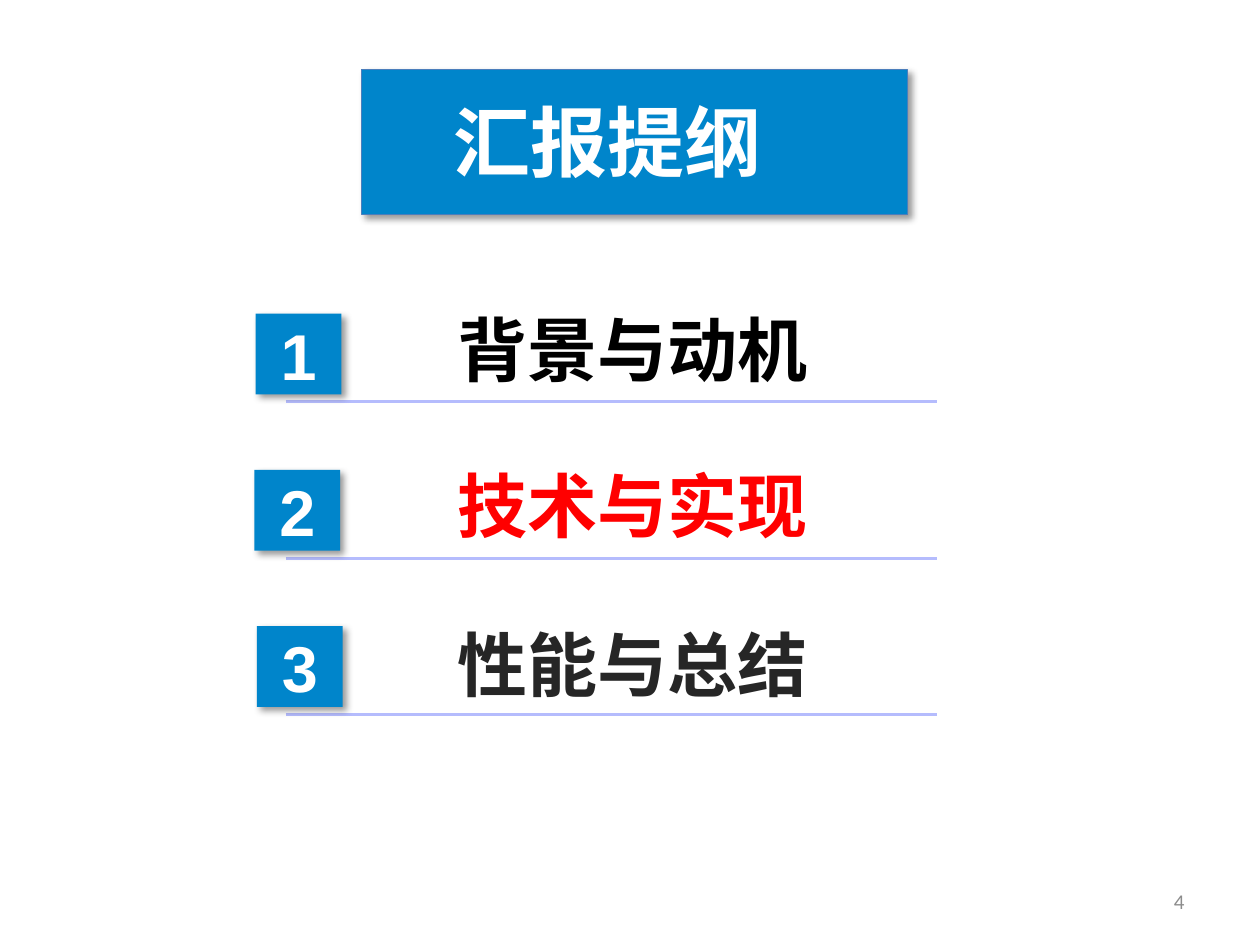
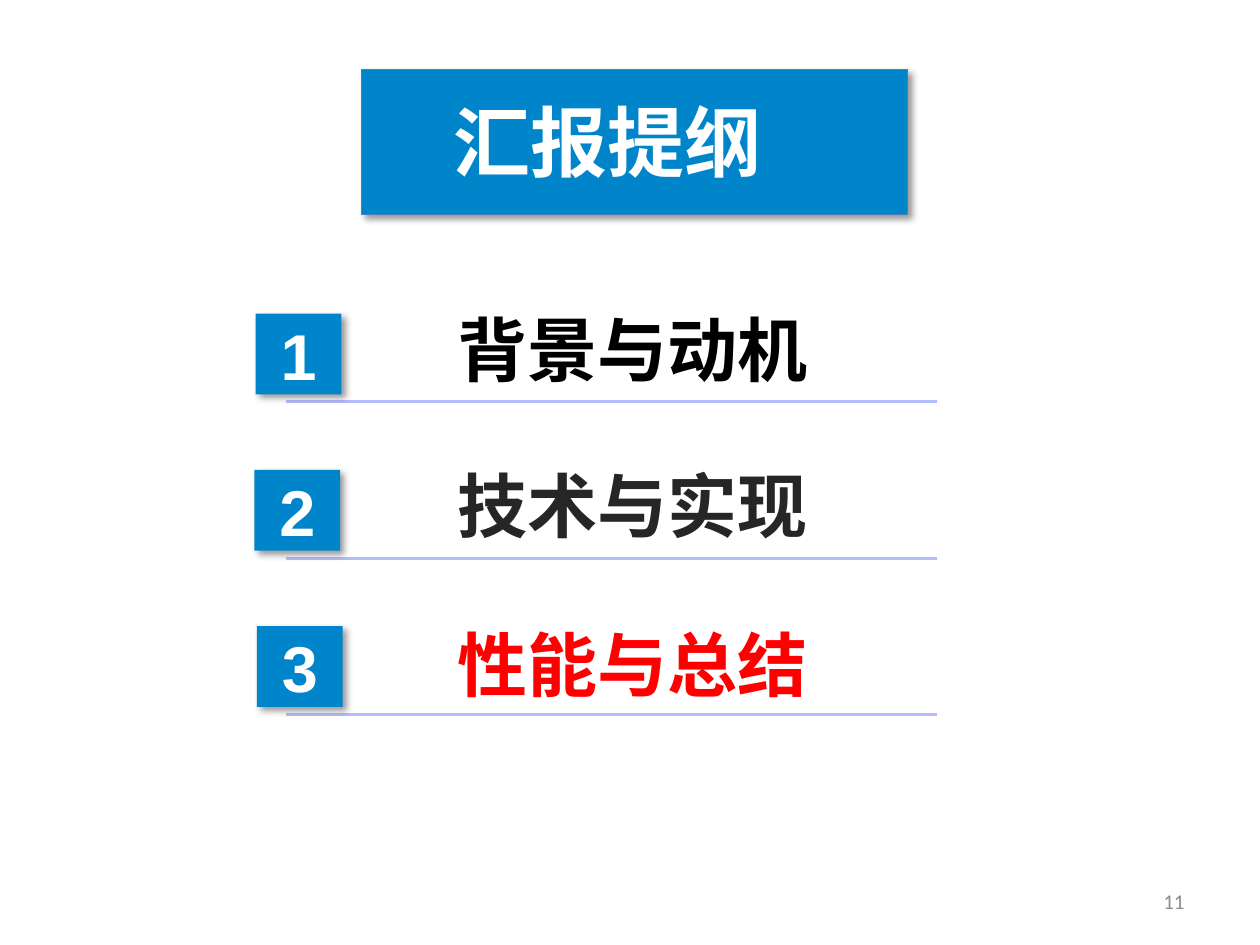
from lxml.etree import SubElement
from pptx import Presentation
from pptx.dml.color import RGBColor
from pptx.enum.shapes import MSO_CONNECTOR, MSO_SHAPE
from pptx.enum.text import MSO_ANCHOR, MSO_AUTO_SIZE, PP_ALIGN
from pptx.oxml.ns import qn
from pptx.util import Pt

BLUE = RGBColor(0x00, 0x85, 0xCB)
BANNER_EDGE = RGBColor(0x4B, 0x7E, 0xBC)
RULE_LILAC = RGBColor(0xB5, 0xBC, 0xFD)
WHITE = RGBColor(0xFF, 0xFF, 0xFF)
BLACK = RGBColor(0x00, 0x00, 0x00)
CHARCOAL = RGBColor(0x26, 0x26, 0x26)
RED = RGBColor(0xFF, 0x00, 0x00)
GREY = RGBColor(0x8C, 0x8C, 0x8C)

HAN_FONT = "Noto Sans CJK SC"
TITLE = "汇报提纲"
# Topic, normal colour, small sideways shift of its badge, drop of its label
TOPICS = [
    ("背景与动机", BLACK, 0.7, 1.4),
    ("技术与实现", CHARCOAL, 0, 1.4),
    ("性能与总结", CHARCOAL, 1.4, 2.8),
]
# Page number and position of the current topic
AGENDAS = [(4, 1), (11, 2)]

BANNER_BOX = (206.6, 39.6, 311.8, 82.8)
AGENDA_BOX = (145.4, 179.3, 390.3, 267.8)
NUMBER_BOX = (516.2, 500.4, 167.8, 28.8)


def in_points(*lengths):
    return [Pt(length) for length in lengths]


def write(frame, text, size, font, color, align, bold=True, tight=False):
    para = frame.paragraphs[0]
    para.alignment = align
    if tight:
        para.line_spacing = 0.8
        para.space_before = Pt(size * 0.2)
    span = para.add_run()
    span.text = text
    span.font.size = Pt(size)
    span.font.bold = bold
    span.font.name = font
    span.font.color.rgb = color
    SubElement(span.font._element, qn("a:ea"), typeface=font)


def add_block(page, kind, box):
    """Blue block with a soft shadow to the lower right."""
    block = page.shapes.add_shape(kind, *in_points(*box))
    block.fill.solid()
    block.fill.fore_color.rgb = BLUE
    block.line.fill.background()
    block.shadow.inherit = False
    effects = block._element.spPr.find(qn("a:effectLst"))
    shadow = SubElement(effects, qn("a:outerShdw"), blurRad=str(Pt(4)),
                        dist=str(Pt(3)), dir="2700000", algn="tl", rotWithShape="0")
    color = SubElement(shadow, qn("a:srgbClr"), val=str(BLACK))
    SubElement(color, qn("a:alpha"), val="40000")
    return block


def add_banner(page, box):
    left, top, width, height = box
    banner = add_block(page, MSO_SHAPE.ROUNDED_RECTANGLE, box)
    banner.adjustments[0] = 0
    banner.line.color.rgb = BANNER_EDGE
    banner.line.width = Pt(0.75)

    # Title lies on top of the banner
    title = page.shapes.title
    title.left, title.top, title.width, title.height = in_points(
        left + 45.4, top + 10.8, 221, 60.5)
    frame = title.text_frame
    frame.word_wrap = True
    frame.auto_size = MSO_AUTO_SIZE.SHAPE_TO_FIT_TEXT
    frame.vertical_anchor = MSO_ANCHOR.TOP
    write(frame, TITLE, 44, HAN_FONT, WHITE, PP_ALIGN.JUSTIFY)
    page.shapes._spTree.append(title._element)


def add_topic(page, box, number, topic, color, badge_shift, label_drop):
    left, top, width, height = box

    # Rule below the topic
    rule_y = top + 50.4
    rule = page.shapes.add_connector(
        MSO_CONNECTOR.STRAIGHT,
        *in_points(left + 18, rule_y, left + width, rule_y))
    rule.line.color.rgb = RULE_LILAC
    rule.line.width = Pt(1.75)
    SubElement(rule._element.spPr, qn("a:effectLst"))

    # Numbered badge
    badge = add_block(page, MSO_SHAPE.RECTANGLE, (left + badge_shift, top, 49, 46.1))
    frame = badge.text_frame
    frame.word_wrap = False
    frame.vertical_anchor = MSO_ANCHOR.MIDDLE
    frame.margin_left = frame.margin_right = frame.margin_bottom = 0
    frame.margin_top = Pt(8.6)
    write(frame, str(number), 37, "Arial", WHITE, PP_ALIGN.CENTER, tight=True)

    # Label
    label = page.shapes.add_textbox(*in_points(left + 42.5, top + label_drop, 347, 45.6))
    frame = label.text_frame
    frame.word_wrap = True
    frame.auto_size = MSO_AUTO_SIZE.SHAPE_TO_FIT_TEXT
    write(frame, topic, 40, HAN_FONT, color, PP_ALIGN.CENTER, tight=True)


def add_agenda(page, box, current):
    left, top, width, height = box
    pitch = height / len(TOPICS)
    for index, (topic, color, badge_shift, label_drop) in enumerate(TOPICS):
        add_topic(page, (left, top + index * pitch, width, pitch), index + 1, topic,
                  RED if index == current else color, badge_shift, label_drop)


def add_page_number(page, box, number):
    frame = page.shapes.add_textbox(*in_points(*box)).text_frame
    frame.word_wrap = True
    frame.vertical_anchor = MSO_ANCHOR.MIDDLE
    write(frame, str(number), 12, "Calibri", GREY, PP_ALIGN.RIGHT, bold=False)


def add_agenda_page(deck, number, current):
    page = deck.slides.add_slide(deck.slide_layouts.get_by_name("Title Only"))
    add_banner(page, BANNER_BOX)
    add_page_number(page, NUMBER_BOX, number)
    add_agenda(page, AGENDA_BOX, current)


def main():
    deck = Presentation()
    deck.slide_width, deck.slide_height = in_points(720, 540)
    for number, current in AGENDAS:
        add_agenda_page(deck, number, current)
    deck.save("out.pptx")


if __name__ == "__main__":
    main()
